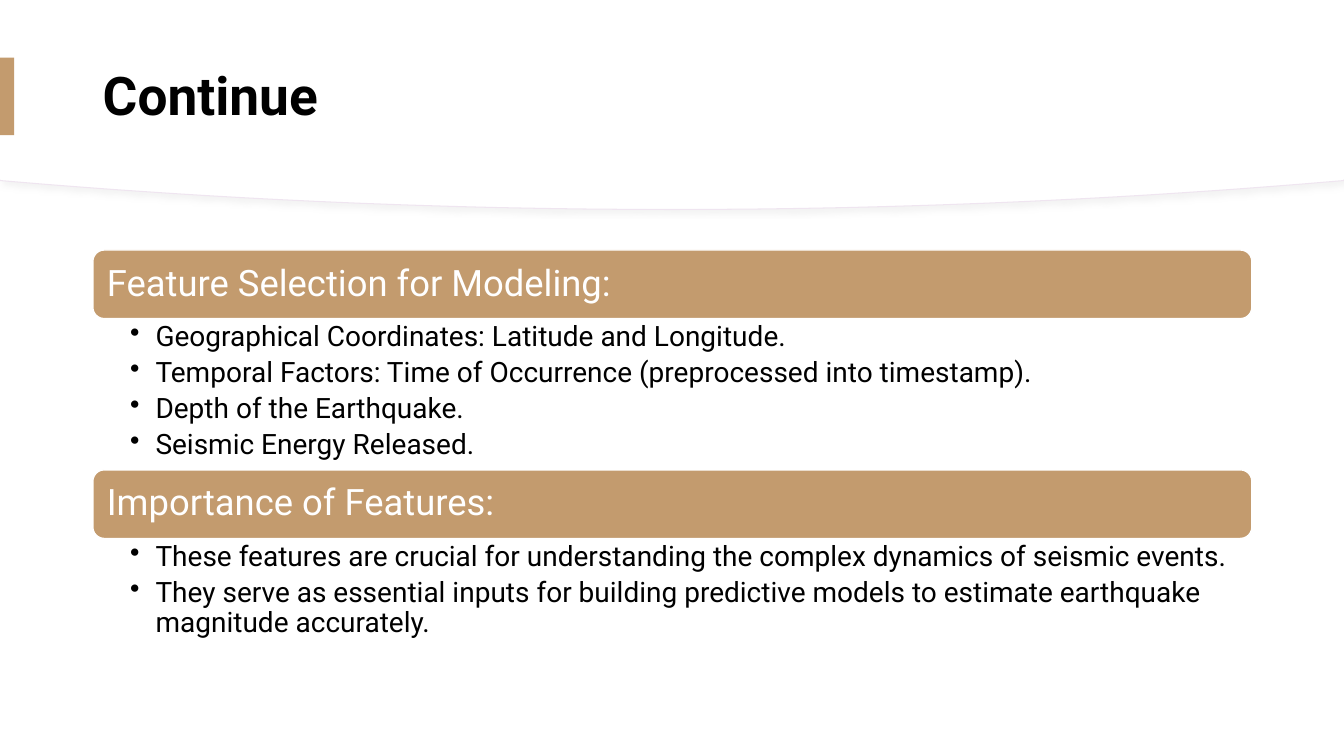
"""Build the slide on feature selection for earthquake modeling."""
from dataclasses import dataclass

from lxml.etree import SubElement
from pptx import Presentation
from pptx.dml.color import RGBColor as RGB
from pptx.enum.shapes import MSO_SHAPE as SHAPE
from pptx.enum.text import MSO_ANCHOR as ANCHOR, PP_ALIGN as ALIGN
from pptx.oxml import parse_xml
from pptx.oxml.ns import nsdecls, qn
from pptx.util import Cm, Pt


@dataclass(frozen=True)
class Theme:
    font: str = "Roboto"
    tan: RGB = RGB(0xC3, 0x9B, 0x6E)
    white: RGB = RGB(0xFF, 0xFF, 0xFF)
    black: RGB = RGB(0x00, 0x00, 0x00)
    edge: RGB = RGB(0xEF, 0xE5, 0xF0)
    shadow: str = "D9D9D9"
    title: Pt = Pt(38)
    heading: Pt = Pt(26)
    body: Pt = Pt(20)


def paint(sp, fill, line=None, width=0):
    sp.shadow.inherit = False
    sp.fill.solid()
    sp.fill.fore_color.rgb = fill
    if line is None:
        sp.line.fill.background()
    else:
        sp.line.color.rgb = line
        sp.line.width = Pt(width)


def write(tf, lines, size, color, bold=False, bullet=False):
    tf.word_wrap = True
    tf.text = "\n".join(lines)
    for p in tf.paragraphs:
        p.alignment = ALIGN.LEFT
        p.line_spacing = 0.9
        if bullet:
            p.space_after = Pt(4)
            pPr = p._p.get_or_add_pPr()
            pPr.set("marL", str(Cm(0.64)))
            pPr.set("indent", str(-Cm(0.64)))
            SubElement(pPr, qn("a:buChar")).set("char", "•")
        for r in p.runs:
            r.font.name = theme.font
            r.font.size = size
            r.font.bold = bold
            r.font.color.rgb = color


theme = Theme()
WIDTH, LEFT, CONTENT = 33.87, 2.34, 29.21
HEADING_HEIGHT = 1.73
SECTIONS = [
    ("Feature Selection for Modeling:", 3.81, [
        "Geographical Coordinates: Latitude and Longitude.",
        "Temporal Factors: Time of Occurrence (preprocessed into timestamp).",
        "Depth of the Earthquake.",
        "Seismic Energy Released.",
    ]),
    ("Importance of Features:", 3.43, [
        "These features are crucial for understanding the complex dynamics of seismic events.",
        "They serve as essential inputs for building predictive models to estimate "
        "earthquake magnitude accurately.",
    ]),
]

prs = Presentation()
prs.slide_width, prs.slide_height = Cm(WIDTH), Cm(19.05)
s = prs.slides.add_slide(prs.slide_layouts[6])

STEPS = 60
for bottom, has_edge in ((5.28, True), (5.25, False)):
    curve = []
    for i in range(STEPS + 1):
        u = 1 - 2 * i / STEPS
        curve.append((Cm(WIDTH * (1 + u) / 2), Cm(bottom - 0.73 * u * u)))
    fb = s.shapes.build_freeform(0, 0)
    fb.add_line_segments([(Cm(WIDTH), 0)] + curve, close=True)
    band = fb.convert_to_shape()
    paint(band, theme.white, theme.edge if has_edge else None, 0.75)
    if has_edge:
        effects = band._element.spPr.find(qn("a:effectLst"))
        effects.append(parse_xml(
            f'<a:outerShdw {nsdecls("a")} blurRad="{Pt(4)}" dist="{Pt(3)}" dir="2700000">'
            f'<a:srgbClr val="{theme.shadow}"><a:alpha val="30000"/></a:srgbClr>'
            '</a:outerShdw>'))

title = s.shapes.add_textbox(Cm(LEFT), Cm(0.71), Cm(CONTENT), Cm(3.53))
title.text_frame.vertical_anchor = ANCHOR.MIDDLE
write(title.text_frame, ["Continue"], theme.title, theme.black, bold=True)

accent = s.shapes.add_shape(SHAPE.RECTANGLE, 0, Cm(1.45), Cm(0.36), Cm(1.96))
paint(accent, theme.tan)

top = 6.3
for heading, body_height, points in SECTIONS:
    bar = s.shapes.add_shape(SHAPE.ROUNDED_RECTANGLE, Cm(LEFT), Cm(top),
                             Cm(CONTENT), Cm(HEADING_HEIGHT))
    paint(bar, theme.tan, theme.white, 1)
    tf = bar.text_frame
    tf.margin_left = tf.margin_right = Cm(0.27)
    tf.vertical_anchor = ANCHOR.MIDDLE
    write(tf, [heading], theme.heading, theme.white)
    top += HEADING_HEIGHT

    body = s.shapes.add_textbox(Cm(LEFT), Cm(top), Cm(CONTENT), Cm(body_height))
    tf = body.text_frame
    tf.margin_left, tf.margin_right = Cm(0.94), Cm(0.51)
    tf.margin_top = tf.margin_bottom = Cm(0.1)
    write(tf, points, theme.body, theme.black, bullet=True)
    top += body_height

prs.save("out.pptx")
